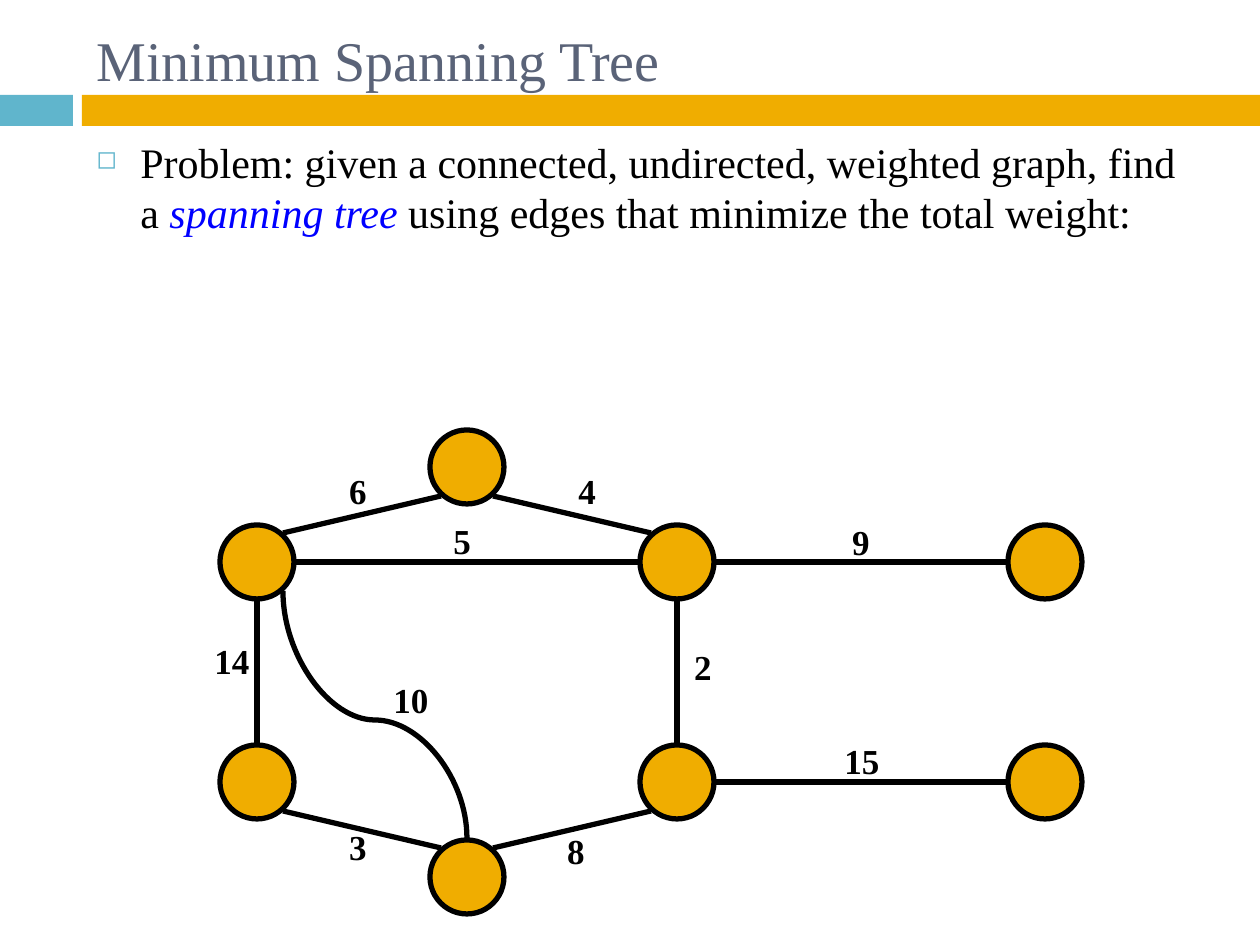
from lxml import etree
from pptx import Presentation
from pptx.dml.color import RGBColor
from pptx.enum.shapes import MSO_CONNECTOR, MSO_SHAPE
from pptx.enum.text import MSO_ANCHOR, MSO_AUTO_SIZE, PP_ALIGN
from pptx.oxml.ns import qn
from pptx.util import Emu, Pt

PX = 914400 / 126
FONT = "Times New Roman"
AMBER = RGBColor(0xF0, 0xAD, 0x00)
TEAL = RGBColor(0x60, 0xB5, 0xCC)
SLATE = RGBColor(0x5A, 0x63, 0x78)
BLUE = RGBColor(0x00, 0x00, 0xFF)
BLACK = RGBColor(0x00, 0x00, 0x00)
RECTANGLE, OVAL = MSO_SHAPE.RECTANGLE, MSO_SHAPE.OVAL
STRAIGHT, CURVE = MSO_CONNECTOR.STRAIGHT, MSO_CONNECTOR.CURVE
LEFT, CENTER = PP_ALIGN.LEFT, PP_ALIGN.CENTER
MIDDLE, TOP = MSO_ANCHOR.MIDDLE, MSO_ANCHOR.TOP
NO_FIT = MSO_AUTO_SIZE.NONE

DIAMETER = 74
REACH = 39
DIAGONAL_X, DIAGONAL_Y = 26, 29

NODES = {
    "top": (247, 37),
    "upper left": (37, 132),
    "upper middle": (457, 132),
    "upper right": (825, 132),
    "lower left": (37, 352),
    "lower middle": (457, 352),
    "lower right": (825, 352),
    "bottom": (247, 447),
}
EDGES = [
    ("top", "upper middle", "4", (367, 60)),
    ("top", "upper left", "6", (138, 60)),
    ("upper left", "upper middle", "5", (242, 110)),
    ("lower left", "upper left", "14", (12, 230)),
    ("lower left", "bottom", "3", (138, 416)),
    ("bottom", "lower middle", "8", (356, 420)),
    ("lower middle", "upper middle", "2", (483, 236)),
    ("upper middle", "upper right", "9", (641, 111)),
    ("lower middle", "lower right", "15", (642, 330)),
]


def px(*lengths):
    return [Emu(round(length * PX)) for length in lengths]


def style_font(font, size, color, bold=False):
    font.name, font.size, font.bold = FONT, Pt(size), bold
    font.color.rgb = color


def add_filled(slide, preset, box, color):
    shape = slide.shapes.add_shape(preset, *px(*box))
    shape.shadow.inherit = False
    shape.fill.solid()
    shape.fill.fore_color.rgb = color
    shape.line.fill.background()
    return shape


def add_edge(slide, kind, start, end):
    edge = slide.shapes.add_connector(kind, *px(*start, *end))
    edge.line.color.rgb = BLACK
    edge.line.width = Pt(3)
    etree.SubElement(edge._element.spPr, qn("a:effectLst"))
    return edge


def add_band(slide, left, top, width, height):
    add_filled(slide, RECTANGLE, (left, top, 73, height), TEAL)
    add_filled(slide, RECTANGLE, (left + 82, top, width - 82, height), AMBER)


def add_title(slide, left, top, width, height):
    title = slide.shapes.title
    title.left, title.top, title.width, title.height = px(left, top, width, height)
    frame = title.text_frame
    frame.text = "Minimum Spanning Tree"
    frame.auto_size = NO_FIT
    frame.vertical_anchor = MIDDLE
    heading = frame.paragraphs[0]
    heading.alignment = LEFT
    style_font(heading.font, 32, SLATE)


def add_problem(slide, left, top, width, height):
    frame = slide.shapes.add_textbox(*px(left, top, width, height)).text_frame
    frame.word_wrap = True
    frame.vertical_anchor = TOP
    problem = frame.paragraphs[0]
    properties = problem._p.get_or_add_pPr()
    indent = px(44)[0]
    properties.set("marL", str(indent))
    properties.set("indent", str(-indent))
    bullet_color = etree.SubElement(properties, qn("a:buClr"))
    etree.SubElement(bullet_color, qn("a:srgbClr"), val=str(TEAL))
    etree.SubElement(properties, qn("a:buSzPct"), val="60000")
    etree.SubElement(properties, qn("a:buChar"), char="◻")
    style_font(problem.font, 24, BLACK)
    problem.add_run().text = "Problem: given a connected, undirected, weighted graph, find a "
    term = problem.add_run()
    term.text = "spanning tree "
    term.font.italic = True
    term.font.color.rgb = BLUE
    problem.add_run().text = "using edges that minimize the total weight:"


def add_weight(slide, weight, x, y):
    width, height = 28 + 16 * len(weight), 54
    box = slide.shapes.add_textbox(*px(x - width / 2, y - height / 2, width, height))
    label = box.text_frame.paragraphs[0]
    label.text = weight
    label.alignment = CENTER
    style_font(label.font, 20, BLACK, bold=True)


def rim_point(center, other):
    step_x, step_y = [(b > a) - (b < a) for a, b in zip(center, other)]
    reach_x, reach_y = (DIAGONAL_X, DIAGONAL_Y) if step_x and step_y else (REACH, REACH)
    return center[0] + step_x * reach_x, center[1] + step_y * reach_y


def add_curved_edge(slide, start, end):
    middle_x, middle_y = (start[0] + end[0]) / 2, (start[1] + end[1]) / 2
    half_x, half_y = (start[0] - end[0]) / 2, (start[1] - end[1]) / 2
    curve = add_edge(slide, CURVE, (middle_x + half_y, middle_y - half_x),
                     (middle_x - half_y, middle_y + half_x))
    properties = curve._element.spPr
    properties.find(qn("a:xfrm")).set("rot", "5400000")
    adjustments = properties.find(qn("a:prstGeom")).find(qn("a:avLst"))
    etree.SubElement(adjustments, qn("a:gd"), name="adj1", fmla="val 47800")


def add_graph(slide, left, top):
    centers = {name: (left + x, top + y) for name, (x, y) in NODES.items()}
    for x, y in centers.values():
        box = (x - DIAMETER / 2, y - DIAMETER / 2, DIAMETER, DIAMETER)
        node = add_filled(slide, OVAL, box, AMBER)
        node.line.color.rgb = BLACK
        node.line.width = Pt(3)
    for first, second, weight, (x, y) in EDGES:
        start, end = centers[first], centers[second]
        add_edge(slide, STRAIGHT, rim_point(start, end), rim_point(end, start))
        add_weight(slide, weight, left + x, top + y)
    bottom_x, bottom_y = centers["bottom"]
    add_curved_edge(slide, (bottom_x, bottom_y - REACH),
                    rim_point(centers["upper left"], centers["bottom"]))
    add_weight(slide, "10", left + 191, top + 269)


def main():
    presentation = Presentation()
    presentation.slide_width, presentation.slide_height = px(1260, 945)
    slide = presentation.slides.add_slide(presentation.slide_layouts[5])
    add_band(slide, 0, 95, 1260, 31)
    add_title(slide, 84, 32, 1124, 55)
    add_problem(slide, 84, 130, 1124, 268)
    add_graph(slide, 220, 430)
    presentation.save("out.pptx")


if __name__ == "__main__":
    main()
